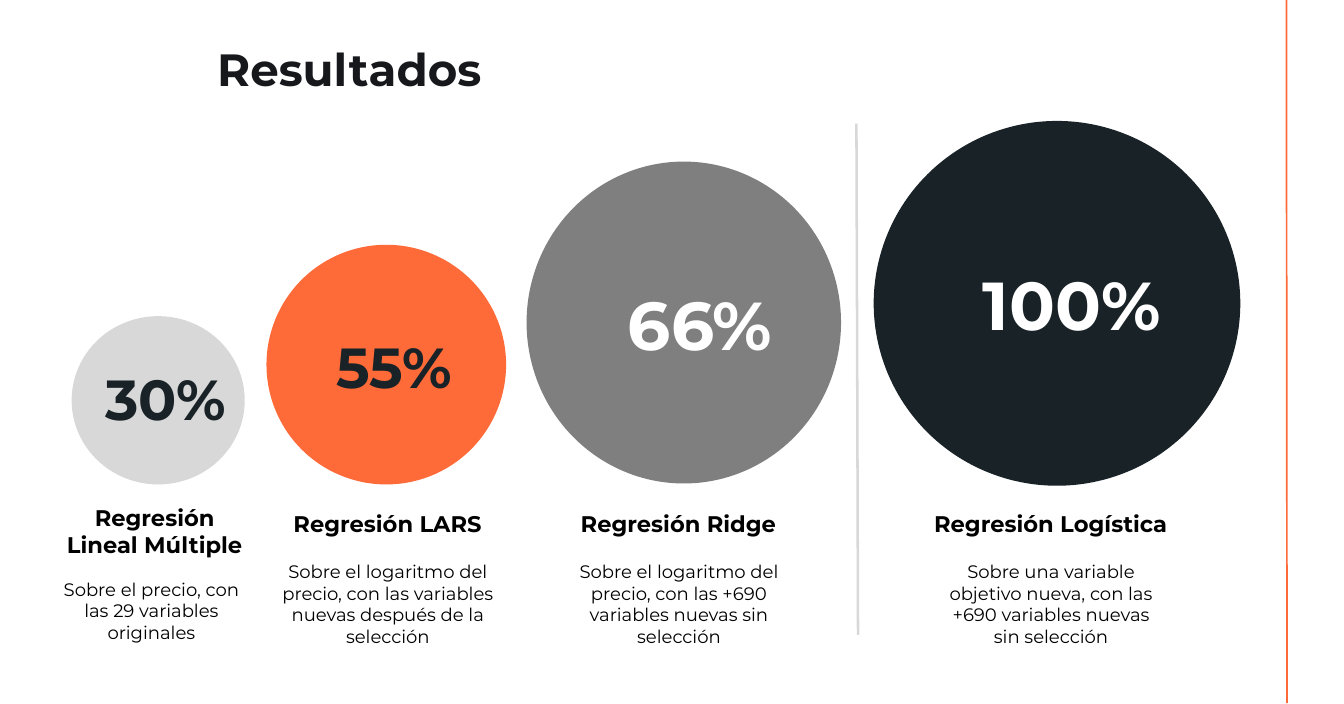
import dataclasses

import pptx
import pptx.dml.color
import pptx.enum.shapes
import pptx.enum.text
import pptx.oxml.ns
import pptx.util
from lxml import etree

Cm = pptx.util.Cm

FONT = "Montserrat"
ORANGE = "FF6A39"
GRAY = "7F7F7F"
LIGHT_GRAY = "D8D8D8"
DARK = "182227"
TITLE_COLOR = "16181C"
BLACK = "000000"
WHITE = "FFFFFF"

NAME_HEIGHT = 1.96
DESCRIPTION_HEIGHT = 2.44
DESCRIPTION_OFFSET = 2.26  # from the top of a name to the top of its description


@dataclasses.dataclass
class Model:
    """One result; boxes are (left, top, width, height) in centimetres."""
    name: str
    description: str
    score: str
    circle_box: tuple
    circle_color: str
    score_box: tuple
    score_size: int
    score_color: str
    label_top: float
    name_span: tuple  # left, width
    description_span: tuple  # left, width


MODELS = [
    Model("Regresión Lineal Múltiple",
          "Sobre el precio, con las 29 variables originales",
          "30%", (2.24, 9.88, 5.41, 5.26), LIGHT_GRAY,
          (2.77, 10.52, 4.83, 3.86), 50, DARK,
          15.6, (1.8, 6.07), (1.6, 6.27)),
    Model("Regresión LARS",
          "Sobre el logaritmo del precio, con las variables nuevas después de la selección",
          "55%", (8.33, 7.65, 7.49, 7.49), ORANGE,
          (9.7, 8.81, 5.23, 5.26), 50, DARK,
          15.39, (8.79, 6.65), (8.38, 7.49)),
    Model("Regresión Ridge",
          "Sobre el logaritmo del precio, con las +690 variables nuevas sin selección",
          "66%", (16.46, 5.05, 9.83, 10.06), GRAY,
          (18.75, 7.11, 6.27, 5.99), 60, WHITE,
          15.39, (17.88, 6.65), (17.48, 7.49)),
    Model("Regresión Logística",
          "Sobre una variable objetivo nueva, con las +690 variables nuevas sin selección",
          "100%", (27.31, 3.78, 11.46, 11.4), DARK,
          (29.95, 6.48, 7.09, 5.99), 60, WHITE,
          15.39, (28.91, 7.87), (29.11, 7.49)),
]


def set_color(color_format, color):
    color_format.rgb = pptx.dml.color.RGBColor.from_string(color)


def add_circle(slide, box, color):
    shape = slide.shapes.add_shape(
        pptx.enum.shapes.MSO_SHAPE.OVAL, *map(Cm, box))
    shape.shadow.inherit = False
    shape.fill.solid()
    set_color(shape.fill.fore_color, color)
    shape.line.fill.background()


def add_text(slide, box, text, size, color, bold=True, centered=True, inset=0.41):
    frame = slide.shapes.add_textbox(*map(Cm, box)).text_frame
    frame.word_wrap = True
    frame.vertical_anchor = pptx.enum.text.MSO_ANCHOR.MIDDLE
    frame.margin_left = frame.margin_right = Cm(inset)
    frame.margin_top = frame.margin_bottom = Cm(inset)
    paragraph = frame.paragraphs[0]
    paragraph.text = text
    if centered:
        paragraph.alignment = pptx.enum.text.PP_ALIGN.CENTER
    paragraph.font.name = FONT
    paragraph.font.size = pptx.util.Pt(size)
    paragraph.font.bold = bold
    set_color(paragraph.font.color, color)


def add_line(slide, start, end, color, width):
    connector = slide.shapes.add_connector(
        pptx.enum.shapes.MSO_CONNECTOR.STRAIGHT, *map(Cm, start + end))
    set_color(connector.line.color, color)
    connector.line.width = pptx.util.Pt(width)
    properties = connector.element.spPr
    etree.SubElement(properties, pptx.oxml.ns.qn("a:effectLst"))


def add_model(slide, model):
    add_circle(slide, model.circle_box, model.circle_color)
    add_text(slide, model.score_box, model.score, model.score_size, model.score_color)

    left, width = model.name_span
    add_text(slide, (left, model.label_top, width, NAME_HEIGHT),
             model.name, 20, BLACK, inset=0.25)

    left, width = model.description_span
    description_top = model.label_top + DESCRIPTION_OFFSET
    add_text(slide, (left, description_top, width, DESCRIPTION_HEIGHT),
             model.description, 16, BLACK, bold=False, inset=0.25)


def main():
    presentation = pptx.Presentation()
    presentation.slide_width = Cm(42.01)
    presentation.slide_height = Cm(22)
    slide = presentation.slides.add_slide(presentation.slide_layouts[6])

    add_text(slide, (6.38, 1.14, 25.6, 1.98), "Resultados", 40, TITLE_COLOR,
             centered=False)
    add_line(slide, (40.21, 0), (40.23, 21.97), ORANGE, 1.5)
    add_line(slide, (26.77, 3.86), (26.82, 19.84), LIGHT_GRAY, 2.25)
    for model in MODELS:
        add_model(slide, model)

    presentation.save("out.pptx")


if __name__ == "__main__":
    main()
